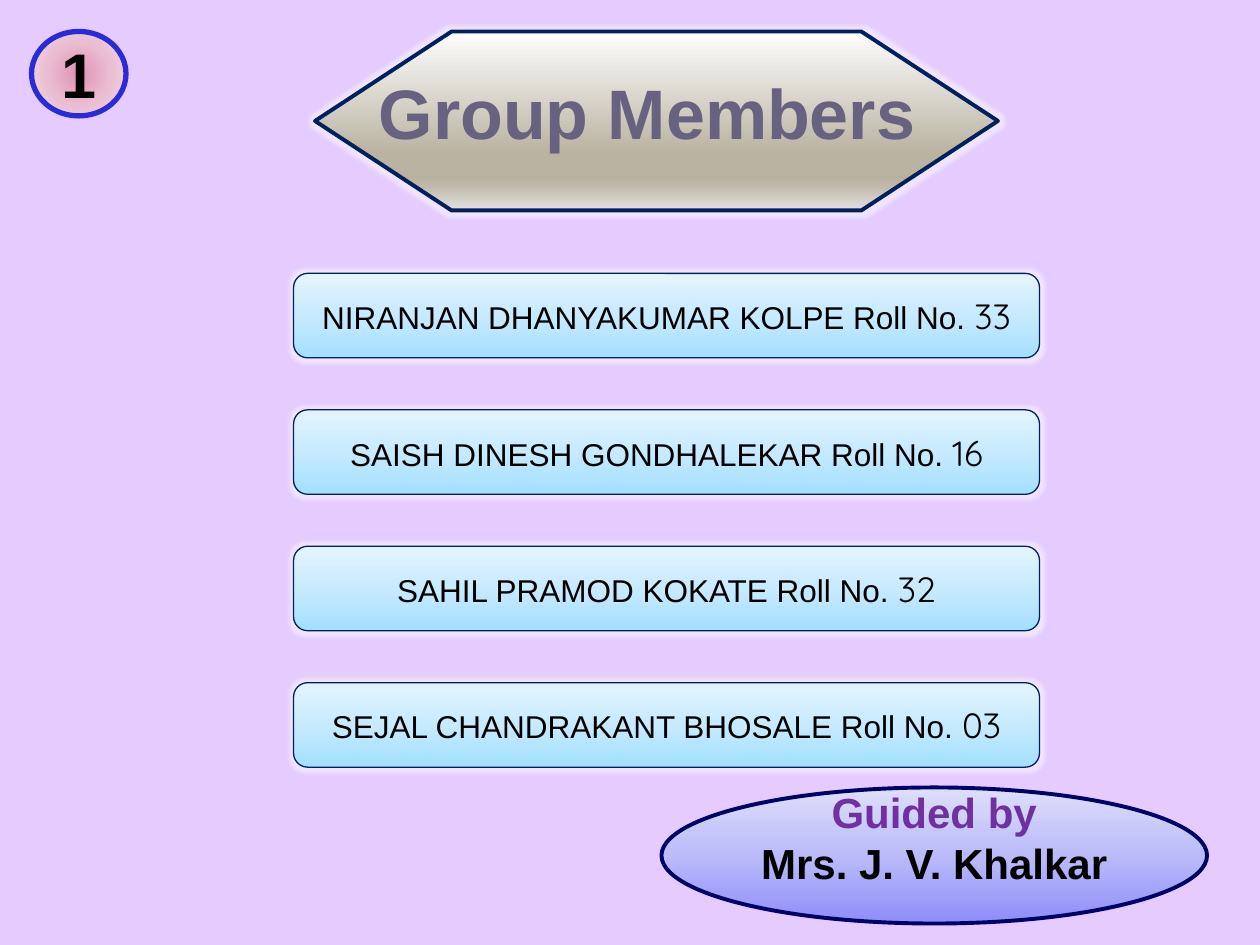
from lxml import etree
from pptx import Presentation
from pptx.dml.color import RGBColor
from pptx.enum.shapes import MSO_SHAPE as Shape
from pptx.enum.text import MSO_ANCHOR as Anchor, PP_ALIGN as Align
from pptx.oxml.ns import qn
from pptx.util import Inches, Pt

TITLE = "Group Members"
NUMBER = "1"
MEMBERS = [
    ("NIRANJAN DHANYAKUMAR KOLPE", "33"),
    ("SAISH DINESH GONDHALEKAR", "16"),
    ("SAHIL PRAMOD KOKATE", "32"),
    ("SEJAL CHANDRAKANT BHOSALE", "03"),
]
GUIDE = [("Guided by", "purple"), ("Mrs. J. V. Khalkar", "black")]

COLORS = {
    "background": "E5CBFF", "title": "67627F", "black": "000000",
    "purple": "7030A0", "navy": "002060", "blue": "2A2AD6",
    "indigo": "000066", "glow": "FFFFFF",
}
# Gradient stops as (percent, colour)
BANNER = [(0, "FEFEFE"), (68, "BAB3A2"), (81, "B8B19F"), (86, "BFB8A9"), (100, "E3E1DB")]
BADGE = [(0, "E191B7"), (50, "EABDD2"), (100, "F4DFE8")]
SKY = [(0, "A3DFFF"), (50, "C7EAFF"), (100, "E4F4FF")]
VIOLET = [(0, "8D8DF9"), (50, "BBBBFA"), (100, "DEDEFC")]


def rgb(name):
    return RGBColor.from_string(COLORS[name])


def add_color(parent, value):
    return etree.SubElement(parent, qn("a:srgbClr"), val=value)


def set_gradient(shape, stops, angle):
    """Fill with a linear gradient, or a radial one when angle is None."""
    shape.fill.gradient()
    gradient = shape.element.spPr.find(qn("a:gradFill"))
    for child in list(gradient):
        gradient.remove(child)
    stop_list = etree.SubElement(gradient, qn("a:gsLst"))
    for percent, value in stops:
        add_color(etree.SubElement(stop_list, qn("a:gs"), pos=str(percent * 1000)), value)
    if angle is None:
        radial = etree.SubElement(gradient, qn("a:path"), path="circle")
        etree.SubElement(radial, qn("a:fillToRect"), l="50000", t="50000", r="50000", b="50000")
    else:
        etree.SubElement(gradient, qn("a:lin"), ang=str(angle * 60000), scaled="0")


def add_glow(shape):
    effects = shape.element.spPr.find(qn("a:effectLst"))
    glow = etree.SubElement(effects, qn("a:glow"), rad=str(Inches(0.07)))
    etree.SubElement(add_color(glow, COLORS["glow"]), qn("a:alpha"), val="50000")


def add_panel(slide, kind, place, stops, angle, line, width):
    shape = slide.shapes.add_shape(kind, *map(Inches, place))
    shape.shadow.inherit = False
    set_gradient(shape, stops, angle)
    shape.line.color.rgb = rgb(line)
    shape.line.width = Pt(width)
    shape.text_frame.vertical_anchor = Anchor.MIDDLE
    return shape


def style(para, size, color, bold=False):
    para.alignment = Align.CENTER
    para.font.name = "Arial"
    para.font.size = Pt(size)
    para.font.bold = bold
    para.font.color.rgb = rgb(color)


deck = Presentation()
deck.slide_width, deck.slide_height = Inches(10), Inches(7.5)
slide = deck.slides.add_slide(deck.slide_layouts[5])
slide.background.fill.solid()
slide.background.fill.fore_color.rgb = rgb("background")

# Title on its banner
banner = add_panel(slide, Shape.FLOWCHART_PREPARATION, (2.5, 0.25, 5.42, 1.42),
                   BANNER, 90, "navy", 2.25)
add_glow(banner)
title = slide.shapes.title
title.left, title.top, title.width, title.height = map(Inches, (2.75, 0.5, 4.92, 0.77))
title.text_frame.text = TITLE
title.text_frame.vertical_anchor = Anchor.MIDDLE
title.text_frame.margin_right = Inches(0.25)
style(title.text_frame.paragraphs[0], 40, "title", bold=True)
banner.element.addnext(title.element)

# Number badge
badge = add_panel(slide, Shape.OVAL, (0.25, 0.25, 0.75, 0.67), BADGE, None, "blue", 3)
badge.text_frame.text = NUMBER
badge.text_frame.word_wrap = False
style(badge.text_frame.paragraphs[0], 36, "black", bold=True)

# Member boxes at an equal pitch
for index, (name, roll) in enumerate(MEMBERS):
    box = add_panel(slide, Shape.ROUNDED_RECTANGLE, (2.33, 2.17 + index * 1.083, 5.92, 0.67),
                    SKY, 270, "navy", 0.75)
    add_glow(box)
    para = box.text_frame.paragraphs[0]
    style(para, 18, "black")
    para.add_run().text = f"{name} Roll No. "
    span = para.add_run()
    span.text = roll
    span.font.name = "Quicksand"
    span.font.size = Pt(20)

# Guide
guide = add_panel(slide, Shape.OVAL, (5.25, 6.25, 4.33, 1.08), VIOLET, 270, "indigo", 2.25)
frame = guide.text_frame
frame.margin_bottom = Inches(0.34)
frame.text = "\n".join(text for text, _ in GUIDE)
for para, (_, color) in zip(frame.paragraphs, GUIDE):
    style(para, 24, color, bold=True)

deck.save("out.pptx")
